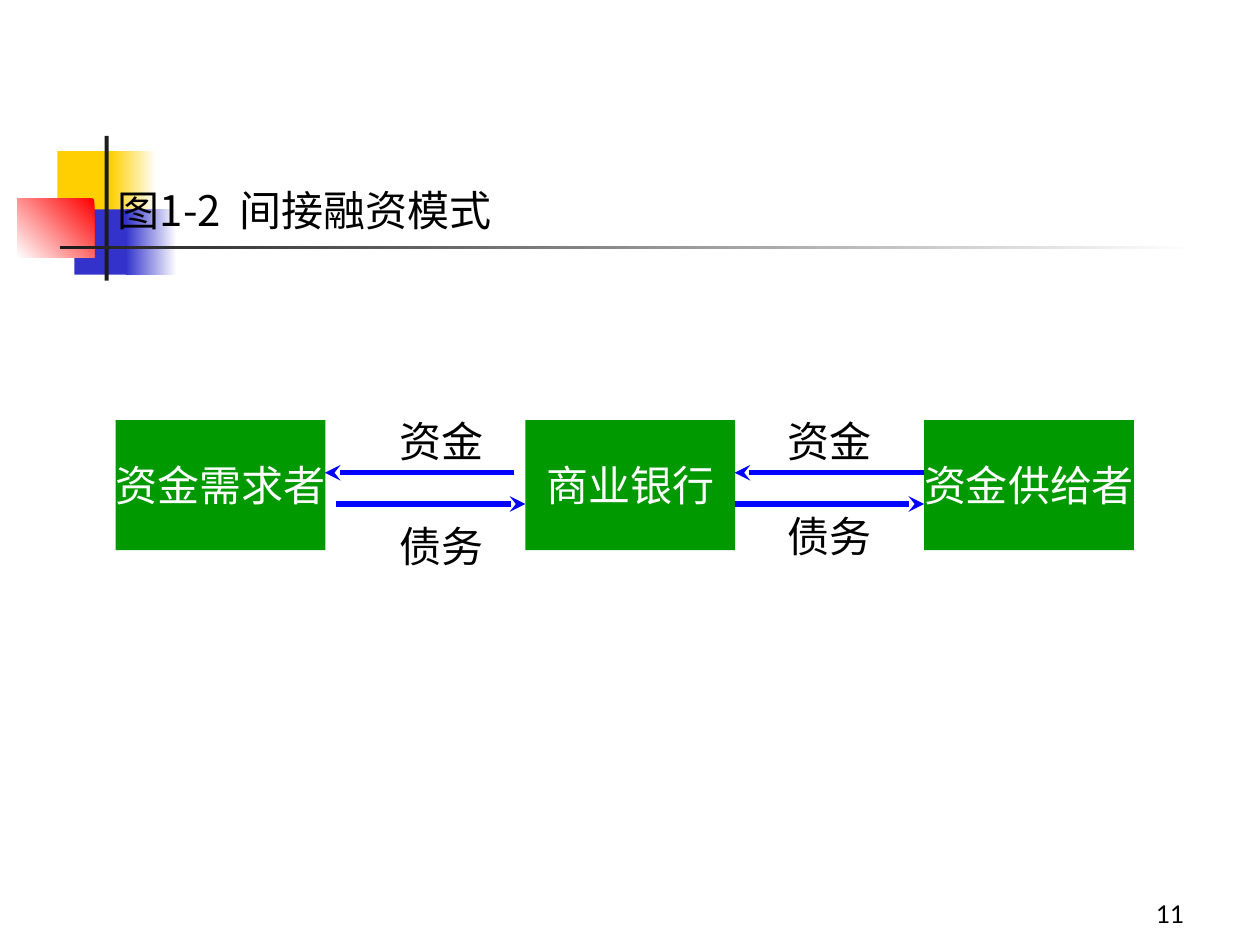
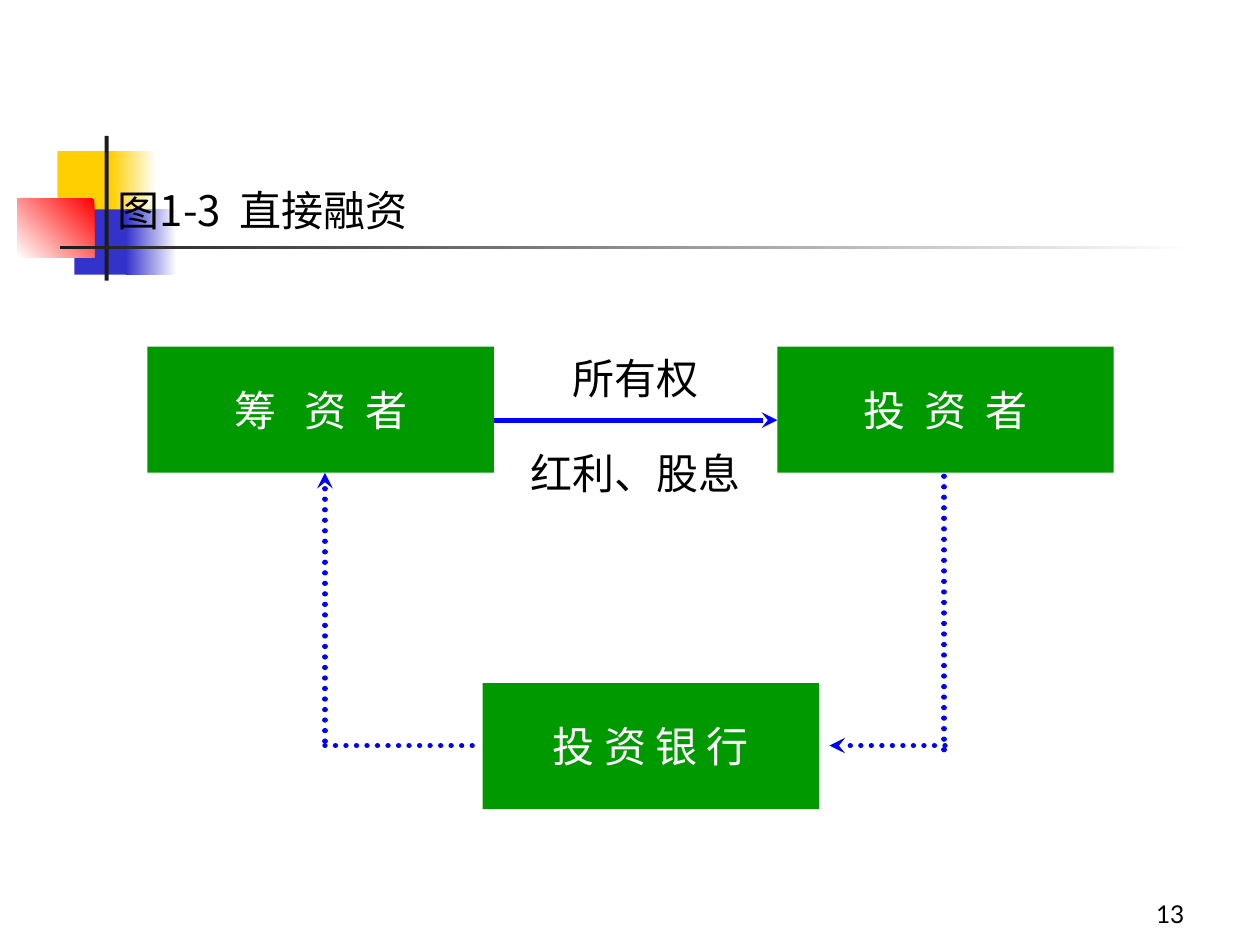
"""Build two slides on indirect and direct financing."""
from lxml import etree
from pptx import Presentation
from pptx.dml.color import RGBColor
from pptx.enum.dml import MSO_LINE
from pptx.enum.shapes import MSO_CONNECTOR, MSO_SHAPE
from pptx.enum.text import MSO_ANCHOR, MSO_AUTO_SIZE, PP_ALIGN
from pptx.oxml.ns import qn
from pptx.util import Cm, Pt

RECT = MSO_SHAPE.RECTANGLE
LINE = MSO_CONNECTOR.STRAIGHT
DOT = MSO_LINE.ROUND_DOT
TOP, MID, LOW = MSO_ANCHOR.TOP, MSO_ANCHOR.MIDDLE, MSO_ANCHOR.BOTTOM
LEFT, CENTER, RIGHT = PP_ALIGN.LEFT, PP_ALIGN.CENTER, PP_ALIGN.RIGHT
FIXED = MSO_AUTO_SIZE.NONE

HEX = {"white": "FFFFFF", "black": "000000", "dark": "1C1C1C", "gold": "FFCF01",
       "navy": "3333CC", "red": "FF0000", "green": "009900", "blue": "0000FF"}
HAN, BODY, SERIF = "Noto Sans CJK SC", "Lato", "Times New Roman"

DECOR = [
    ((1.16, 3.05, 1.21, 1.32), ["gold"], None),
    ((2.23, 3.05, 0.92, 1.32), ["white", "gold"], 180),
    ((1.5, 4.22, 1.17, 1.32), ["navy"], None),
    ((2.54, 4.22, 1.02, 1.32), ["white", "navy"], 180),
    ((0.35, 4.01, 1.55, 1.18), ["red", "white"], 225),
    ((2.11, 2.74, 0.08, 2.92), ["dark"], None),
    ((1.22, 4.95, 22.86, 0.08), ["white", "dark"], 180),
]


def tone(name):
    return RGBColor.from_string(HEX[name])


class Deck:
    def __init__(self):
        self.file = Presentation()
        self.file.slide_width, self.file.slide_height = Cm(25.4), Cm(19.05)
        self.base = self.file.slide_layouts[5]
        self.slide = None

    def page(self, title, number):
        first = self.slide is None
        self.slide = self.file.slides.add_slide(self.base)
        if first:
            self.decor()
        head = self.slide.shapes.title
        head.left, head.top, head.width, head.height = map(Cm, (2.12, 3.6, 14.17, 1.27))
        self.fill_text(head, title, HAN, align=LEFT)
        self.label(number, 18.85, 17.58, 5.28, size=14, align=RIGHT, anchor=LOW)

    def decor(self):
        for index, (place, names, angle) in enumerate(DECOR, 20):
            part = self.rect(place, names, angle)
            part.element.nvSpPr.cNvPr.set("id", str(index))
            self.base.shapes.element.append(part.element)

    def rect(self, place, names, angle=None):
        shape = self.slide.shapes.add_shape(RECT, *map(Cm, place))
        shape.shadow.inherit = False
        shape.line.fill.background()
        if angle is None:
            shape.fill.solid()
            shape.fill.fore_color.rgb = tone(names[0])
        else:
            shape.fill.gradient()
            shape.fill.gradient_angle = angle
            for stop, name in zip(shape.fill.gradient_stops, names):
                stop.color.rgb = tone(name)
        return shape

    def fill_text(self, shape, text, face, color="black", size=24, align=CENTER,
                  anchor=TOP, wrap=True):
        frame = shape.text_frame
        frame.text = text
        frame.auto_size = FIXED
        frame.word_wrap = wrap
        frame.vertical_anchor = anchor
        para = frame.paragraphs[0]
        para.alignment = align
        font = para.font
        font.name, font.size, font.color.rgb = face, Pt(size), tone(color)
        props = para._p.pPr.find(qn("a:defRPr"))
        etree.SubElement(props, qn("a:ea"), typeface=HAN)

    def box(self, text, x, y, wide, high, face=HAN):
        shape = self.rect((x, y, wide, high), ["green"])
        self.fill_text(shape, text, face, "white", anchor=MID, wrap=False)

    def label(self, text, x, y, wide, **style):
        shape = self.slide.shapes.add_textbox(Cm(x), Cm(y), Cm(wide), Cm(1.27))
        self.fill_text(shape, text, BODY, **style)

    def line(self, *ends, head=True, dots=False):
        link = self.slide.shapes.add_connector(LINE, *map(Cm, ends))
        link.line.color.rgb = tone("blue")
        link.line.width = Pt(3)
        stroke = link.element.spPr.find(qn("a:ln"))
        if dots:
            link.line.dash_style = DOT
            stroke.set("cap", "rnd")
        if head:
            etree.SubElement(stroke, qn("a:tailEnd"), type="stealth")
        etree.SubElement(link.element.spPr, qn("a:effectLst"))


def main():
    deck = Deck()

    deck.page("图1-2  间接融资模式", "11")
    for text, x, face in (("资金需求者", 2.33, SERIF), ("商业银行", 10.59, HAN),
                          ("资金供给者", 18.63, SERIF)):
        deck.box(text, x, 8.47, 4.23, 2.62, face)
    for start, end, y in ((18.63, 14.81, 9.53), (10.37, 6.55, 9.53),
                          (6.78, 10.59, 10.16), (14.81, 18.63, 10.16)):
        deck.line(start, y, end, y)
    for x, low in ((7.42, 10.36), (15.24, 10.16)):
        deck.label("资金", x, 8.26, 2.97)
        deck.label("债务", x, low, 2.97)

    deck.page("图1-3  直接融资", "13")
    deck.line(9.96, 8.47, 15.67, 8.47)
    for text, x, y, wide in (("筹   资  者", 2.97, 6.99, 6.99),
                             ("投  资  者", 15.67, 6.99, 6.78),
                             ("投 资 银 行", 9.73, 13.77, 6.78)):
        deck.box(text, x, y, wide, 2.54)
    deck.line(6.55, 14.94, 6.55, 9.53, dots=True)
    deck.line(6.55, 15.03, 9.53, 15.03, head=False, dots=True)
    deck.line(19.03, 9.6, 19.03, 15.14, head=False, dots=True)
    deck.line(19.05, 15.03, 16.72, 15.03, dots=True)
    for text, y in (("所有权", 6.99), ("红利、股息", 8.89)):
        deck.label(text, 10.16, y, 5.29)

    deck.file.save("out.pptx")


if __name__ == "__main__":
    main()
